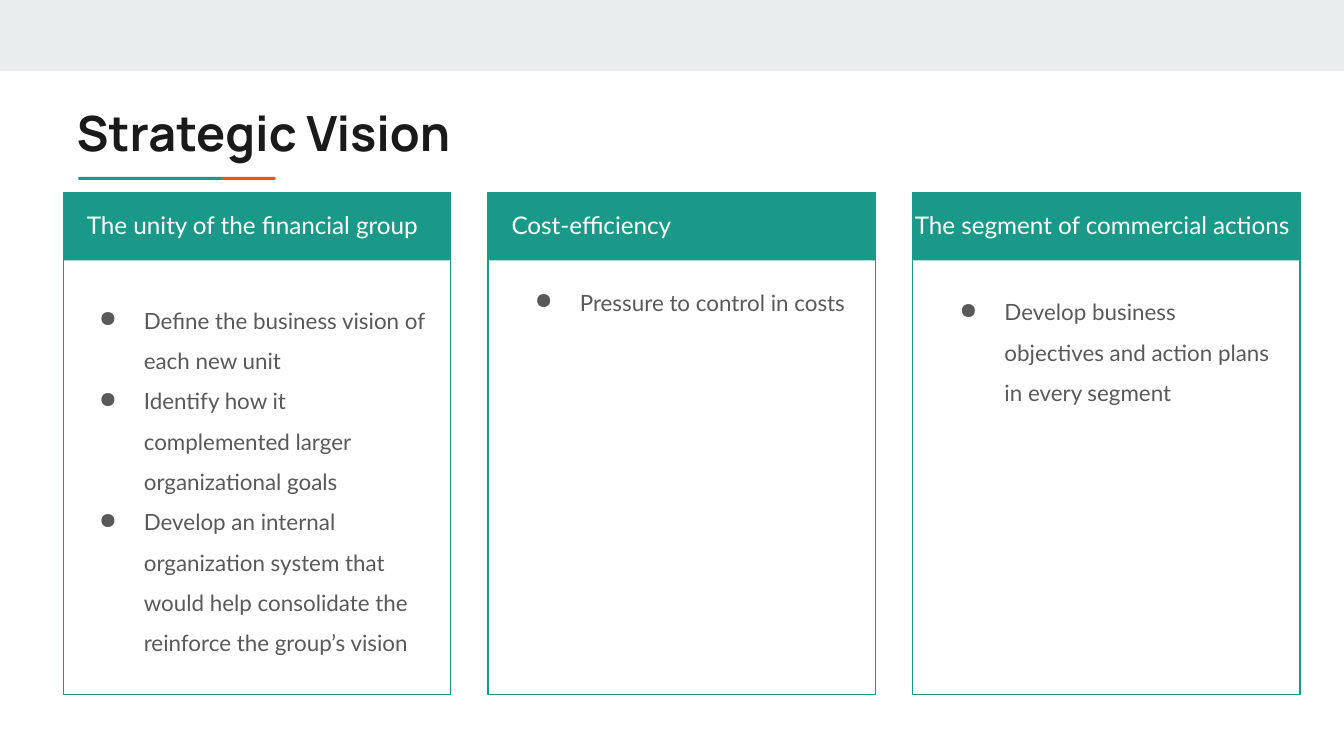
from lxml import etree
from pptx import Presentation
from pptx.dml.color import RGBColor
from pptx.enum.shapes import MSO_SHAPE
from pptx.enum.text import MSO_ANCHOR
from pptx.oxml.ns import qn
from pptx.util import Pt

RECTANGLE = MSO_SHAPE.RECTANGLE
TOP = MSO_ANCHOR.TOP

TEAL = RGBColor(0x1A, 0x99, 0x88)
ORANGE = RGBColor(0xEB, 0x56, 0x00)
PALE = RGBColor(0xE9, 0xED, 0xEE)
INK = RGBColor(0x1A, 0x1A, 0x1A)
GREY = RGBColor(0x59, 0x59, 0x59)
WHITE = RGBColor(0xFF, 0xFF, 0xFF)

SLIDE_WIDTH, SLIDE_HEIGHT = 720, 405
INSET = 7.2
BULLET_MARGIN, BULLET_HANG = 36, 24

# Card grid
CARD_LEFT, CARD_TOP = 34, 103
CARD_WIDTH, CARD_HEIGHT = 207.5, 269
CARD_PITCH = 227.5
HEADER_HEIGHT = 36.5

# heading, bullets, heading inset, bullet inset, bullet offset, line spacing
CARDS = [
    ("The unity of the financial group",
     ["Define the business vision of each new unit",
      "Identify how it complemented larger organizational goals",
      "Develop an internal organization system that would help "
      "consolidate the reinforce the group’s vision"],
     5.5, 0, 47, 1.5),
    ("Cost-efficiency",
     ["Pressure to control in costs"],
     5.5, 6, 42.5, 1.15),
    ("The segment of commercial actions",
     ["Develop business objectives and action plans in every segment"],
     -6, 6, 42.5, 1.5),
]


def add_rectangle(slide, left, top, width, height, fill=None, line=None):
    rectangle = slide.shapes.add_shape(
        RECTANGLE, Pt(left), Pt(top), Pt(width), Pt(height))
    rectangle.shadow.inherit = False
    if fill is None:
        rectangle.fill.background()
    else:
        rectangle.fill.solid()
        rectangle.fill.fore_color.rgb = fill
    if line is None:
        rectangle.line.fill.background()
    else:
        rectangle.line.color.rgb = line
        rectangle.line.width = Pt(0.75)


def add_bullet(paragraph, color):
    properties = paragraph._p.get_or_add_pPr()
    properties.set("marL", str(Pt(BULLET_MARGIN)))
    properties.set("indent", str(-Pt(BULLET_HANG)))
    bullet_color = etree.SubElement(properties, qn("a:buClr"))
    etree.SubElement(bullet_color, qn("a:srgbClr"), val=str(color))
    etree.SubElement(properties, qn("a:buChar"), char="●")


def add_text(slide, lines, left, top, width, height, *, size, color,
             font="Lato", bold=False, spacing=1.0, bullets=False):
    box = slide.shapes.add_textbox(Pt(left), Pt(top), Pt(width), Pt(height))
    frame = box.text_frame
    frame.word_wrap = True
    frame.vertical_anchor = TOP
    frame.margin_left = frame.margin_right = Pt(INSET)
    frame.margin_top = frame.margin_bottom = Pt(INSET)
    for index, line in enumerate(lines):
        paragraph = frame.add_paragraph() if index else frame.paragraphs[0]
        paragraph.line_spacing = spacing
        run = paragraph.add_run()
        run.text = line
        run.font.name = font
        run.font.size = Pt(size)
        run.font.bold = bold
        run.font.color.rgb = color
        if bullets:
            add_bullet(paragraph, color)


def add_title(slide, left, top, width, height):
    add_text(slide, ["Strategic Vision"], left, top, width, height,
             size=26, color=INK, font="Manrope", bold=True)
    # Two-colour underline
    underline_left, underline_top = left + 8, top + 46.8
    teal_width, orange_width, thickness = 76.5, 29, 1.6
    add_rectangle(slide, underline_left, underline_top,
                  teal_width, thickness, fill=TEAL)
    add_rectangle(slide, underline_left + teal_width, underline_top,
                  orange_width, thickness, fill=ORANGE)


def add_card(slide, card, left, top, width, height):
    heading, points, heading_inset, point_inset, point_offset, spacing = card
    # Header band and frame
    add_rectangle(slide, left, top, width, HEADER_HEIGHT, fill=TEAL)
    add_rectangle(slide, left, top, width, height, line=TEAL)
    # Heading
    add_text(slide, [heading], left + heading_inset, top,
             width - 2 * heading_inset, 36,
             size=13, color=WHITE, spacing=1.15)
    # Bullet points
    add_text(slide, points, left + point_inset, top + point_offset,
             width - 2 * point_inset, 220,
             size=12, color=GREY, spacing=spacing, bullets=True)


def main():
    deck = Presentation()
    deck.slide_width, deck.slide_height = Pt(SLIDE_WIDTH), Pt(SLIDE_HEIGHT)
    slide = deck.slides.add_slide(deck.slide_layouts[6])

    # Top band
    add_rectangle(slide, 0, 0, SLIDE_WIDTH, 38.2, fill=PALE)
    add_title(slide, CARD_LEFT, 48, 605.5, 42.5)
    for column, card in enumerate(CARDS):
        add_card(slide, card, CARD_LEFT + column * CARD_PITCH, CARD_TOP,
                 CARD_WIDTH, CARD_HEIGHT)

    deck.save("out.pptx")


if __name__ == "__main__":
    main()
